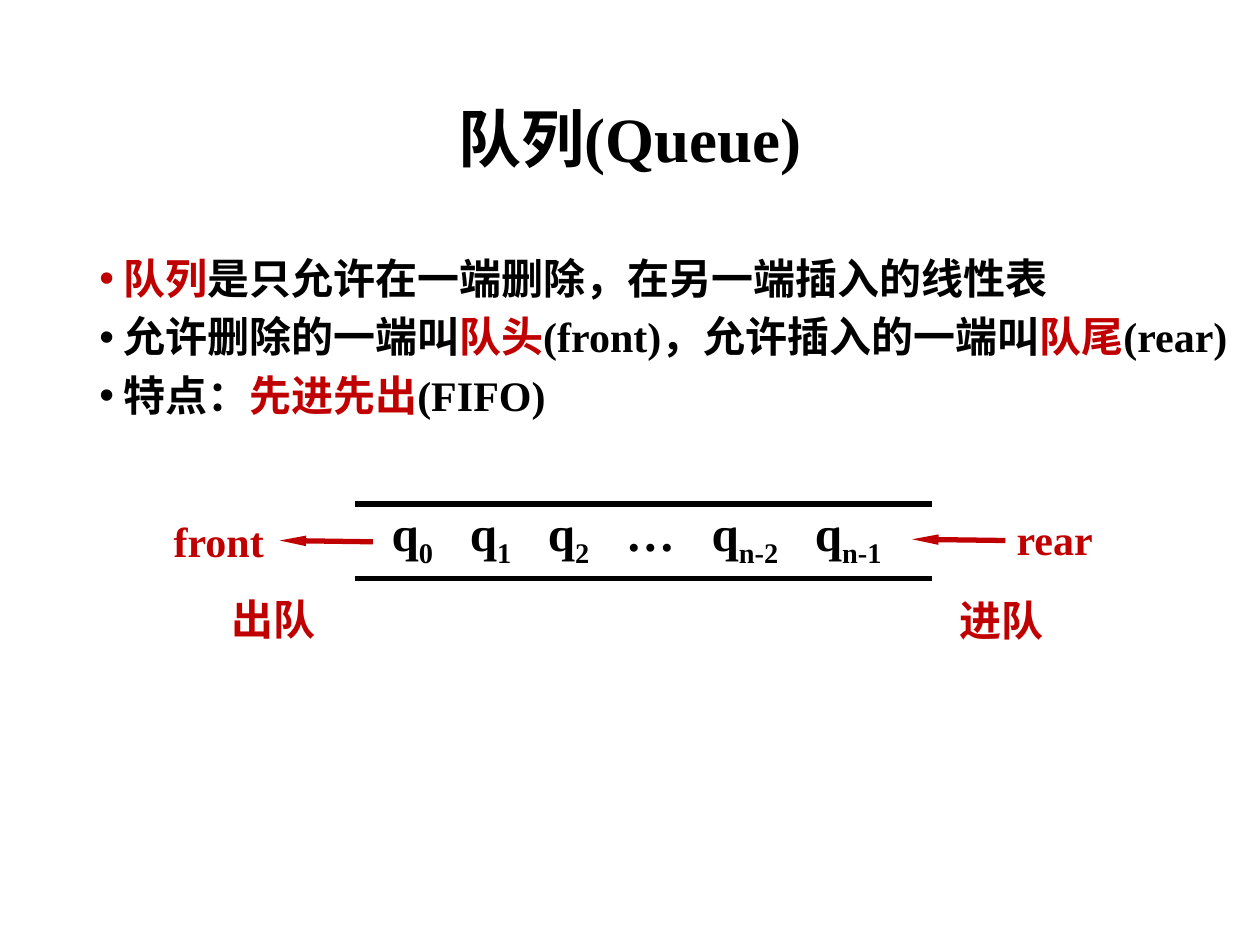
"""Build a slide that introduces the queue, with a diagram of its two ends."""
from lxml import etree
from pptx import Presentation
from pptx import util as u
from pptx.dml import color
from pptx.enum import shapes, text
from pptx.oxml import ns

BLACK, RED = "000000", "C00000"
SERIF, SANS = "Times New Roman", "Noto Sans CJK SC"


def rgb(value):
    return color.RGBColor.from_string(value)


def add_xml(parent, tag, **attributes):
    return etree.SubElement(parent, ns.qn(tag), attributes)


class QueueSlide:
    line_width = u.Pt(3)

    def __init__(self, presentation):
        self.slide = presentation.slides.add_slide(presentation.slide_layouts[5])

    def style_run(self, run, size, fill=BLACK, font=SERIF):
        run.font.size = u.Pt(size)
        run.font.bold = True
        run.font.color.rgb = rgb(fill)
        run.font.name = font
        add_xml(run.font._element, "a:ea", typeface=SANS)

    def add_run(self, paragraph, wording, size, fill=BLACK, font=SERIF):
        run = paragraph.add_run()
        run.text = wording
        self.style_run(run, size, fill, font)
        return run

    def title(self, wording, left, top, width, height):
        shape = self.slide.shapes.title
        shape.left, shape.top = u.Inches(left), u.Inches(top)
        shape.width, shape.height = u.Inches(width), u.Inches(height)
        frame = shape.text_frame
        frame.text = wording
        frame.vertical_anchor = text.MSO_ANCHOR.MIDDLE
        paragraph = frame.paragraphs[0]
        paragraph.alignment = text.PP_ALIGN.CENTER
        paragraph.line_spacing = 0.9
        self.style_run(paragraph.runs[0], 36)

    def text_box(self, left, top, width, height, wrap=True):
        shape = self.slide.shapes.add_textbox(
            u.Inches(left), u.Inches(top), u.Inches(width), u.Inches(height))
        shape.text_frame.word_wrap = wrap
        return shape.text_frame

    def bullets(self, items, left, top, width, height):
        frame = self.text_box(left, top, width, height)
        for index, parts in enumerate(items):
            paragraph = frame.add_paragraph() if index else frame.paragraphs[0]
            paragraph.line_spacing = 0.9
            paragraph.space_before = u.Pt(7.5)
            properties = paragraph._p.get_or_add_pPr()
            indent = u.Inches(0.19)
            properties.set("marL", str(indent))
            properties.set("indent", str(-indent))
            add_xml(properties, "a:buFont", typeface="Arial")
            add_xml(properties, "a:buChar", char="•")
            for wording, fill in parts:
                self.add_run(paragraph, wording, 24, fill)

    def label(self, wording, left, top, width, font=SERIF):
        frame = self.text_box(left, top, width, 0.5, wrap=False)
        frame.auto_size = text.MSO_AUTO_SIZE.SHAPE_TO_FIT_TEXT
        self.add_run(frame.paragraphs[0], wording, 24, RED, font)

    def queue_items(self, subscripts, stops, left, top, width, height):
        frame = self.text_box(left, top, width, height)
        frame.auto_size = text.MSO_AUTO_SIZE.SHAPE_TO_FIT_TEXT
        paragraph = frame.paragraphs[0]
        tabs = add_xml(paragraph._p.get_or_add_pPr(), "a:tabLst")
        for stop in stops:
            add_xml(tabs, "a:tab", pos=str(u.Inches(stop)), algn="l")
        for index, subscript in enumerate(subscripts):
            symbol = "q" if subscript else "…"
            self.add_run(paragraph, ("\t" if index else "") + symbol, 28)
            if subscript:
                run = self.add_run(paragraph, subscript, 28)
                run.font._element.set("baseline", "-25000")

    def line(self, start, end, fill=BLACK, arrow=False):
        connector = self.slide.shapes.add_connector(
            shapes.MSO_CONNECTOR.STRAIGHT, *map(u.Inches, (*start, *end)))
        connector.line.width = self.line_width
        connector.line.color.rgb = rgb(fill)
        if arrow:
            add_xml(connector.line._get_or_add_ln(), "a:tailEnd",
                    type="triangle", w="sm", len="lg")
        add_xml(connector._element.spPr, "a:effectLst")


def main():
    presentation = Presentation()
    presentation.slide_width = u.Inches(10)
    presentation.slide_height = u.Inches(7.5)
    slide = QueueSlide(presentation)

    slide.title("队列(Queue)", 0.69, 0.4, 8.62, 1.45)
    slide.bullets([
        [("队列", RED), ("是只允许在一端删除，在另一端插入的线性表", BLACK)],
        [("允许删除的一端叫", BLACK), ("队头", RED),
         ("(front)，允许插入的一端叫", BLACK), ("队尾", RED), ("(rear)", BLACK)],
        [("特点：", BLACK), ("先进先出", RED), ("(FIFO)", BLACK)],
    ], 0.69, 2, 9.2, 1.8)

    for y in (4, 4.59):
        slide.line((2.82, y), (7.4, y))
    slide.queue_items(["0", "1", "2", None, "n-2", "n-1"],
                      [0.62, 1.24, 1.86, 2.54, 3.36], 3.01, 3.94, 4.28, 0.57)

    slide.label("front", 1.28, 4.04, 0.93)
    slide.label("rear", 7.97, 4.03, 0.81)
    slide.line((2.96, 4.3), (2.22, 4.29), RED, arrow=True)
    slide.line((7.98, 4.29), (7.24, 4.28), RED, arrow=True)
    slide.label("出队", 1.74, 4.66, 0.88, SANS)
    slide.label("进队", 7.52, 4.67, 0.88, SANS)

    presentation.save("out.pptx")


if __name__ == "__main__":
    main()
